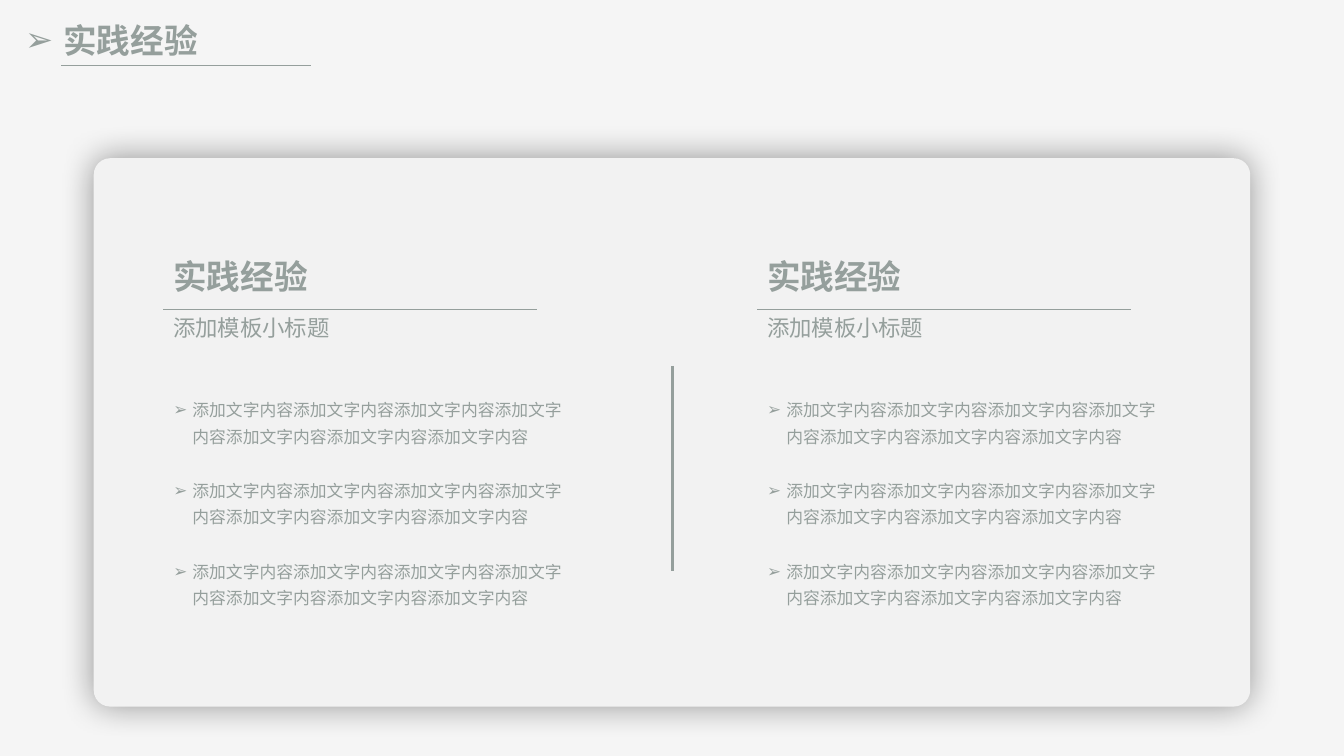
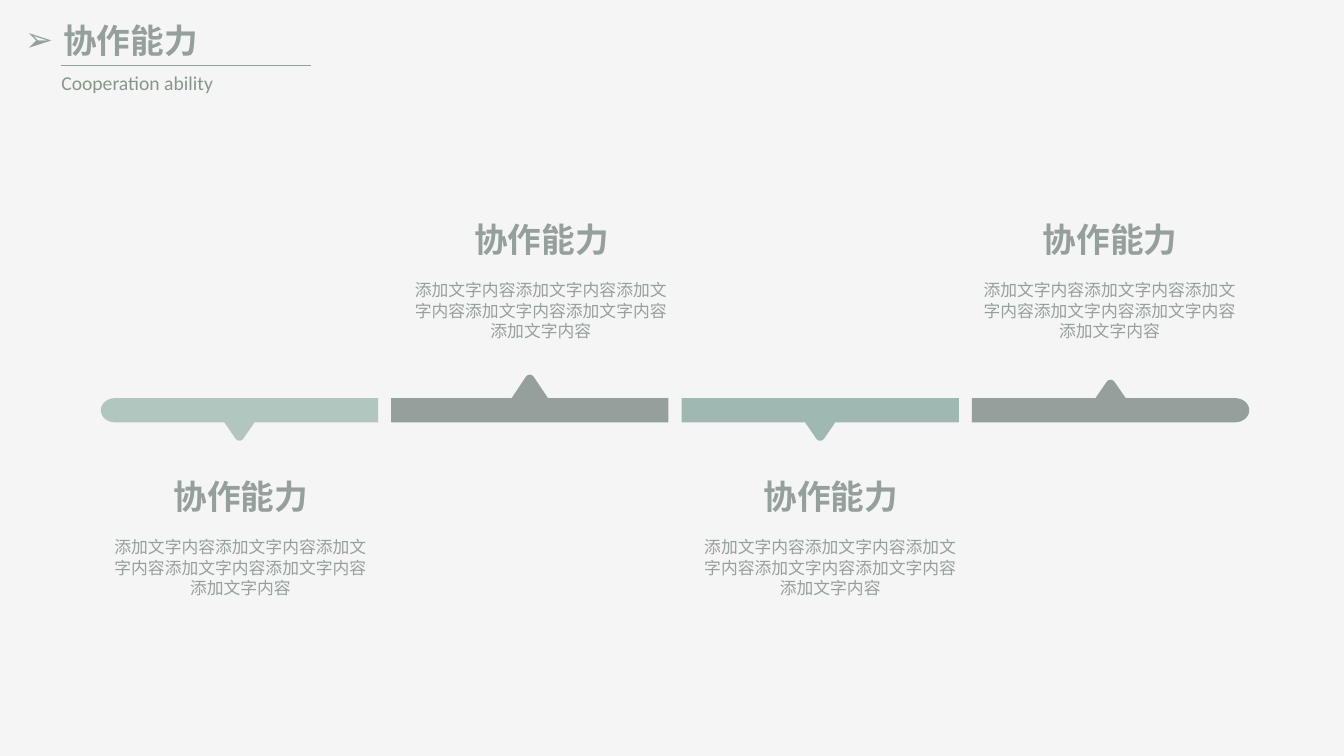
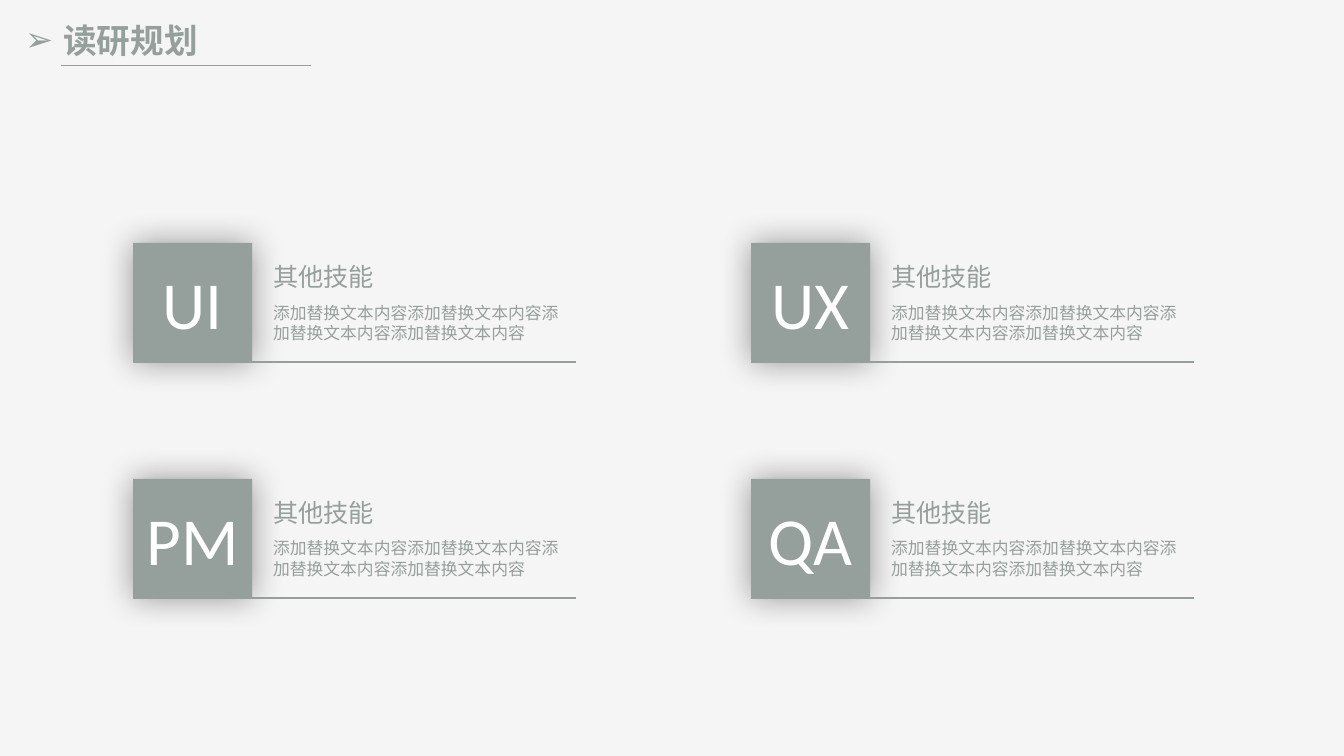
from math import cos, pi, sin

from lxml.etree import SubElement
from pptx import Presentation
from pptx.dml.color import RGBColor
from pptx.enum.lang import MSO_LANGUAGE_ID as Language
from pptx.enum.shapes import MSO_CONNECTOR as Connector, MSO_SHAPE as Shape
from pptx.enum.text import MSO_ANCHOR as Anchor, MSO_AUTO_SIZE as AutoSize, PP_ALIGN as Align
from pptx.oxml.ns import qn
from pptx.util import Inches, Pt

GRAY = "959F9C"
SAGE = "9FB8B1"
SUBTITLE = "859789"
CARD = "F2F2F2"
BACKGROUND = "F5F5F5"
WHITE = "FFFFFF"
FONT = "Calibri"


def color(hex_code):
    return RGBColor.from_string(hex_code)


def add_bullet(paragraph, indent):
    properties = paragraph._p.get_or_add_pPr()
    properties.set("marL", str(Inches(indent)))
    properties.set("indent", str(-Inches(indent)))
    SubElement(properties, qn("a:buFont"), typeface="Arial")
    SubElement(properties, qn("a:buChar"), char="➢")


def write_text(frame, text, size=12, ink=GRAY, bold=False, align=Align.LEFT,
               spacing=None, bullet_indent=None):
    paragraph = frame.paragraphs[0]
    if bullet_indent:
        add_bullet(paragraph, bullet_indent)
    paragraph.alignment = align
    if spacing:
        paragraph.line_spacing = spacing
    run = paragraph.add_run()
    run.text = text
    font = run.font
    font.name, font.size, font.bold = FONT, Pt(size), bold
    font.color.rgb = color(ink)
    font.language_id = Language.SIMPLIFIED_CHINESE


def bezier(points, steps=8):
    """Sample a cubic curve given by its four control points."""
    weights = [((1 - t) ** 3, 3 * t * (1 - t) ** 2, 3 * t * t * (1 - t), t ** 3)
               for t in (i / steps for i in range(steps + 1))]
    return [tuple(sum(w * p[axis] for w, p in zip(row, points)) for axis in (0, 1))
            for row in weights]


def bar_outline(width, height, tip_half, tip_height, round_end):
    """Points of a bar with a rounded tip above its middle, y growing downwards."""
    middle, cap = width / 2, 0.14
    top = 0.03 - tip_height
    tip = bezier([(middle - 0.04, top), (middle - 0.02, -tip_height),
                  (middle + 0.02, -tip_height), (middle + 0.04, top)])
    outline = [(0, 0), (middle - tip_half, 0), *tip, (middle + tip_half, 0)]
    if round_end:
        angles = [pi * i / 16 - pi / 2 for i in range(17)]
        outline += [(width - cap + cap * cos(a), height / 2 * (1 + sin(a))) for a in angles]
    else:
        outline += [(width, 0), (width, height)]
    return outline + [(0, height)]


class Deck:
    def __init__(self):
        self.presentation = Presentation()
        self.presentation.slide_width = Inches(13.33)
        self.presentation.slide_height = Inches(7.5)
        self.slide = None

    def new_slide(self, title, subtitle=None):
        self.slide = self.presentation.slides.add_slide(self.presentation.slide_layouts[6])
        fill = self.slide.background.fill
        fill.solid()
        fill.fore_color.rgb = color(BACKGROUND)
        if subtitle:
            self.text(0.51, 0.65, 2.74, 0.34, subtitle, size=14, ink=SUBTITLE,
                      align=Align.JUSTIFY)
        self.heading(0.15, 0.15, 2.09, title, align=Align.JUSTIFY, bullet_indent=0.38)
        self.line(0.61, 0.65, 3.08, 0.65, 0.5)

    def text(self, left, top, width, height, text, wrap=True, **style):
        box = self.slide.shapes.add_textbox(
            Inches(left), Inches(top), Inches(width), Inches(height))
        frame = box.text_frame
        frame.word_wrap = wrap
        frame.auto_size = AutoSize.SHAPE_TO_FIT_TEXT
        write_text(frame, text, **style)

    def heading(self, left, top, width, text, **style):
        self.text(left, top, width, 0.5, text, size=24, bold=True, **style)

    def line(self, x1, y1, x2, y2, weight):
        line = self.slide.shapes.add_connector(
            Connector.STRAIGHT, Inches(x1), Inches(y1), Inches(x2), Inches(y2))
        line.line.color.rgb = color(GRAY)
        line.line.width = Pt(weight)
        SubElement(line._element.spPr, qn("a:effectLst"))

    def paint(self, shape, fill, alpha=None):
        shape.shadow.inherit = False
        shape.fill.solid()
        shape.fill.fore_color.rgb = color(fill)
        shape.line.fill.background()
        if alpha:
            rgb = shape._element.spPr.find(qn("a:solidFill")).find(qn("a:srgbClr"))
            SubElement(rgb, qn("a:alpha"), val=str(alpha * 1000))

    def raised(self, kind, left, top, width, height, fill):
        """Add a shape with a soft shadow all round."""
        shape = self.slide.shapes.add_shape(
            kind, Inches(left), Inches(top), Inches(width), Inches(height))
        self.paint(shape, fill)
        effects = shape._element.spPr.find(qn("a:effectLst"))
        shadow = SubElement(effects, qn("a:outerShdw"), blurRad=str(Pt(24)), dist="0",
                            dir="0", algn="ctr", rotWithShape="0")
        rgb = SubElement(shadow, qn("a:srgbClr"), val="000000")
        SubElement(rgb, qn("a:alpha"), val="40000")
        return shape

    def pointer_bar(self, left, top, fill, points_up, tip_half=0.15, tip_height=0.19,
                    round_side=None, alpha=None):
        width, height = 2.75, 0.24
        outline = bar_outline(width, height, tip_half, tip_height, round_side)
        if round_side == "left":
            outline = [(width - x, y) for x, y in outline]
        if not points_up:
            outline = [(x, height - y) for x, y in outline]
        start, *rest = [(Inches(left + x), Inches(top + y)) for x, y in outline]
        builder = self.slide.shapes.build_freeform(*start)
        builder.add_line_segments(rest, close=True)
        self.paint(builder.convert_to_shape(), fill, alpha)


def experience_slide(deck):
    deck.new_slide("实践经验")
    card = deck.raised(Shape.ROUNDED_RECTANGLE, 0.93, 1.57, 11.47, 5.44, CARD)
    card.adjustments[0] = 0.03
    for left in (1.62, 7.51):
        deck.text(left, 2.99, 2.3, 0.45, "添加模板小标题", size=16, spacing=1.3)
        deck.heading(left, 2.49, 1.8, "实践经验", align=Align.JUSTIFY)
        deck.line(left, 3.07, left + 3.71, 3.07, 1.25)
        for row in range(3):
            deck.text(left, 3.86 + 0.8 * row, 4.21, 0.62, "添加文字内容" * 7,
                      spacing=1.3, bullet_indent=0.19)
    deck.line(6.67, 3.63, 6.67, 5.66, 1.5)


def cooperation_slide(deck):
    deck.new_slide("协作能力", "Cooperation ability")
    bars = [
        dict(fill=SAGE, alpha=77, points_up=False, round_side="left"),
        dict(fill=GRAY, points_up=True, tip_half=0.18, tip_height=0.24),
        dict(fill=SAGE, points_up=False),
        dict(fill=GRAY, points_up=True, round_side="right"),
    ]
    label_centers = (2.39, 5.37, 8.24, 11.01)
    for index, (bar, center) in enumerate(zip(bars, label_centers)):
        deck.pointer_bar(1 + 2.88 * index, 3.95, **bar)
        top = 2.12 if bar["points_up"] else 4.67
        deck.heading(center - 0.78, top, 1.56, "协作能力", wrap=False, align=Align.CENTER)
        deck.text(center - 1.39, top + 0.61, 2.77, 0.71, "添加文字内容" * 6,
                  align=Align.CENTER)


def plan_slide(deck):
    deck.new_slide("读研规划")
    side = 1.18
    for index, skill in enumerate(("UI", "UX", "PM", "QA")):
        row, column = divmod(index, 2)
        left, top = 1.32 + 6.13 * column, 2.41 + 2.34 * row
        tile = deck.raised(Shape.RECTANGLE, left, top, side, side, GRAY)
        frame = tile.text_frame
        frame.margin_left = frame.margin_right = 0
        frame.vertical_anchor = Anchor.MIDDLE
        write_text(frame, skill, size=48, ink=WHITE, align=Align.CENTER)
        deck.line(left, top + side, left + 4.39, top + side, 1.5)
        deck.text(left + 1.29, top + 0.54, 3.09, 0.5, "添加替换文本内容" * 4)
        deck.text(left + 1.29, top + 0.13, 2.09, 0.4, "其他技能", size=18,
                  align=Align.JUSTIFY)


def main():
    deck = Deck()
    experience_slide(deck)
    cooperation_slide(deck)
    plan_slide(deck)
    deck.presentation.save("out.pptx")


if __name__ == "__main__":
    main()
